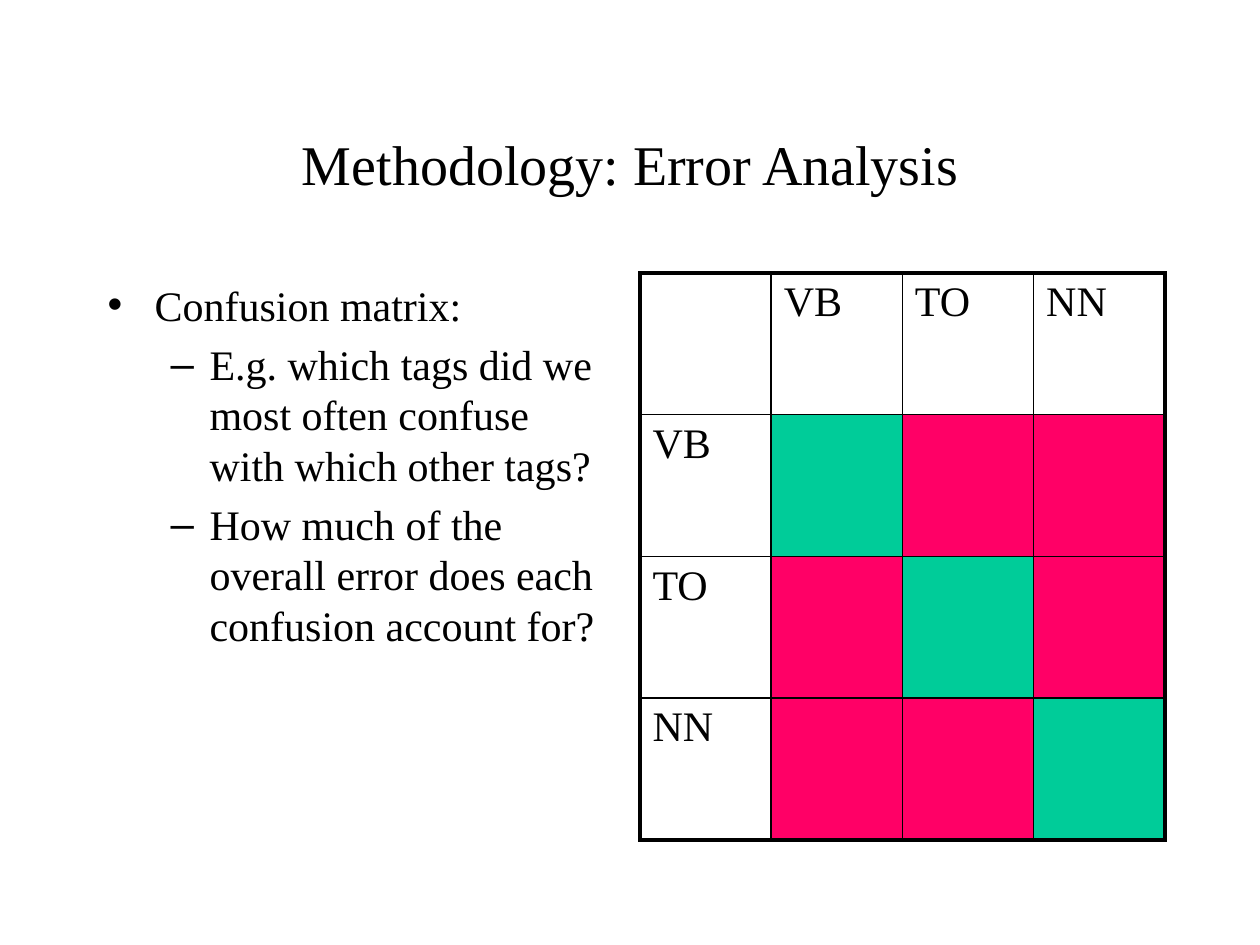
from lxml.etree import SubElement
from pptx import Presentation
from pptx.dml.color import RGBColor
from pptx.enum.text import MSO_ANCHOR, MSO_AUTO_SIZE, PP_ALIGN
from pptx.oxml import parse_xml
from pptx.oxml.ns import nsdecls, qn
from pptx.util import Emu, Pt

PIXEL = 914400 // 126
BLACK, GREEN, RED = "000000", "00CC99", "FF0066"
TAGS = ["VB", "TO", "NN"]
POINTS = [
    (0, "Confusion matrix:"),
    (1, "E.g. which tags did we most often confuse with which other tags?"),
    (1, "How much of the overall error does each confusion account for?"),
]
INDENTS = [(47, -47), (102, -39)]  # left margin and first line, by level
BULLETS = ["•", "–"]


def color(value):
    """Turn a hex string into a colour."""
    return RGBColor.from_string(value)


def set_font(paragraph, size):
    """Give a paragraph the slide's typeface in black."""
    paragraph.font.name = "Times New Roman"
    paragraph.font.size = Pt(size)
    paragraph.font.color.rgb = color(BLACK)


deck = Presentation()
deck.slide_width, deck.slide_height = Emu(1260 * PIXEL), Emu(945 * PIXEL)
page = deck.slides.add_slide(deck.slide_layouts[1])
title, body = page.shapes.title, page.placeholders[1]

for box, bounds in [(title, (95, 84, 1071, 158)), (body, (95, 273, 525, 567))]:
    box.left, box.top, box.width, box.height = [Emu(n * PIXEL) for n in bounds]
    box.text_frame.word_wrap = True
    box.text_frame.auto_size = MSO_AUTO_SIZE.NONE

# Title
title.text_frame.text = "Methodology: Error Analysis"
title.text_frame.vertical_anchor = MSO_ANCHOR.MIDDLE
heading = title.text_frame.paragraphs[0]
heading.alignment = PP_ALIGN.CENTER
set_font(heading, 32)

# Bulleted list
body.text_frame.text = "\n".join(text for _, text in POINTS)
for paragraph, (level, _) in zip(body.text_frame.paragraphs, POINTS):
    paragraph.level = level
    paragraph.space_before = Pt(5)
    set_font(paragraph, 24)
    properties = paragraph._p.get_or_add_pPr()
    margin, indent = INDENTS[level]
    properties.set("marL", str(margin * PIXEL))
    properties.set("indent", str(indent * PIXEL))
    SubElement(properties, qn("a:buChar")).set("char", BULLETS[level])

# Confusion matrix: tags on both headers, green on the diagonal
count = len(TAGS) + 1
frame = page.shapes.add_table(
    count, count, *[Emu(n * PIXEL) for n in (640, 273, 525, 567)])
matrix = frame.table
matrix.first_row = matrix.horz_banding = False
labels = [""] + TAGS
last = count - 1

for row in range(count):
    for column in range(count):
        cell = matrix.cell(row, column)
        if row and column:
            cell.fill.solid()
            cell.fill.fore_color.rgb = color(GREEN if row == column else RED)
        else:
            cell.fill.background()
            cell.text = labels[row + column]
        set_font(cell.text_frame.paragraphs[0], 24)

        outer_edges = [("L", column == 0), ("R", column == last),
                       ("T", row == 0), ("B", row == last)]
        for position, (side, outer) in enumerate(outer_edges):
            width = Pt(2.25 if outer else 1)
            border = parse_xml(
                f'<a:ln{side} {nsdecls("a")} w="{width}"><a:solidFill>'
                f'<a:srgbClr val="{BLACK}"/></a:solidFill></a:ln{side}>')
            cell._tc.get_or_add_tcPr().insert(position, border)

deck.save("out.pptx")
